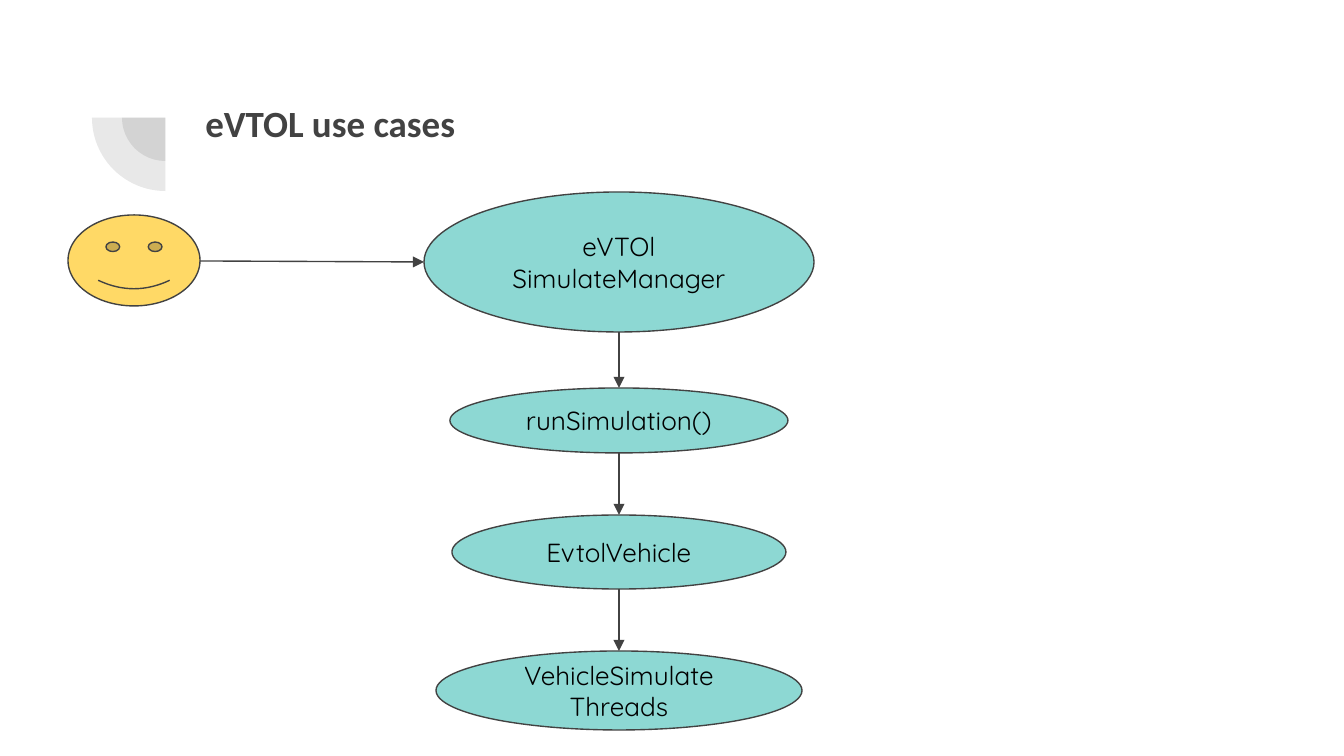
import dataclasses
import itertools

import pptx
import pptx.dml.color
import pptx.enum.shapes
import pptx.enum.text
import pptx.oxml
import pptx.oxml.ns
import pptx.util

SHAPE = pptx.enum.shapes.MSO_SHAPE
ALIGN = pptx.enum.text.PP_ALIGN
ANCHOR = pptx.enum.text.MSO_ANCHOR
EMU_PER_PX = 914400 / 134.4


@dataclasses.dataclass(frozen=True)
class Theme:
    """Colours, fonts and type sizes of the slide."""
    ink: str = "424242"
    black: str = "000000"
    teal: str = "8DD8D3"
    yellow: str = "FFD966"
    title_font: str = "Calibri"
    body_font: str = "Quicksand"
    title_size: float = 19.8
    body_size: float = 14
    line_width: float = 0.75
    fan_alpha: int = 12


def px(length):
    """Turn pixels into EMU."""
    return pptx.util.Emu(round(length * EMU_PER_PX))


def rgb(colour):
    """Turn a hex string into a colour."""
    return pptx.dml.color.RGBColor.from_string(colour)


def write_text(shape, text, *, font, size, colour, bold=False,
               align=ALIGN.LEFT, anchor=ANCHOR.TOP):
    """Write one wrapped paragraph into a shape."""
    frame = shape.text_frame
    frame.word_wrap = True
    frame.vertical_anchor = anchor
    for side in ("left", "right", "top", "bottom"):
        setattr(frame, f"margin_{side}", pptx.util.Inches(0.1))
    para = frame.paragraphs[0]
    para.alignment = align
    span = para.add_run()
    span.text = text
    span.font.name = font
    span.font.size = pptx.util.Pt(size)
    span.font.bold = bold
    span.font.color.rgb = rgb(colour)


class Page:
    """Draws styled elements on the current slide."""

    def __init__(self, slide, theme):
        """Keep the slide and its theme."""
        self.shapes = slide.shapes
        self.theme = theme

    def outline(self, line):
        """Apply the common line style."""
        line.color.rgb = rgb(self.theme.ink)
        line.width = pptx.util.Pt(self.theme.line_width)

    def solid(self, kind, box, colour):
        """Add a filled preset shape without a shadow."""
        shape = self.shapes.add_shape(kind, *map(px, box))
        shape.shadow.inherit = False
        shape.fill.solid()
        shape.fill.fore_color.rgb = rgb(colour)
        return shape

    def fan(self, centre_x, centre_y, size):
        """Add a translucent quarter circle around a centre."""
        box = (centre_x - size / 2, centre_y - size / 2, size, size)
        shape = self.solid(SHAPE.PIE, box, self.theme.ink)
        shape.adjustments[0] = 108
        shape.adjustments[1] = 162
        shape.rotation = 270
        shape.line.fill.background()
        colour = shape.fill._xPr.find(".//" + pptx.oxml.ns.qn("a:srgbClr"))
        alpha = pptx.oxml.parse_xml(
            f'<a:alpha {pptx.oxml.ns.nsdecls("a")} val="{self.theme.fan_alpha * 1000}"/>')
        colour.append(alpha)

    def title(self, text, box):
        """Add the slide heading."""
        shape = self.shapes.add_textbox(*map(px, box))
        write_text(shape, text, font=self.theme.title_font,
                   size=self.theme.title_size, colour=self.theme.ink, bold=True)

    def actor(self, box):
        """Add the smiling user."""
        self.outline(self.solid(SHAPE.SMILEY_FACE, box, self.theme.yellow).line)

    def use_case(self, kind, text, box):
        """Add a labelled ellipse."""
        shape = self.solid(kind, box, self.theme.teal)
        self.outline(shape.line)
        write_text(shape, text, font=self.theme.body_font,
                   size=self.theme.body_size, colour=self.theme.black,
                   align=ALIGN.CENTER, anchor=ANCHOR.MIDDLE)

    def arrow(self, start, end):
        """Add a straight arrow between two points."""
        connector = self.shapes.add_connector(
            pptx.enum.shapes.MSO_CONNECTOR.STRAIGHT, *map(px, start + end))
        self.outline(connector.line)
        names = pptx.oxml.ns.nsdecls("a")
        connector.line._get_or_add_ln().append(
            pptx.oxml.parse_xml(f'<a:tailEnd {names} type="triangle"/>'))
        connector._element.spPr.append(
            pptx.oxml.parse_xml(f"<a:effectLst {names}/>"))


def main():
    """Build the use case slide."""
    deck = pptx.Presentation()
    deck.slide_width, deck.slide_height = px(1344), px(756)
    page = Page(deck.slides.add_slide(deck.slide_layouts[6]), Theme())

    for size in (87, 147):
        page.fan(165.5, 117.5, size)
    page.title("eVTOL use cases", (192, 87, 598, 74))
    page.actor((68, 215, 132, 91))

    axis = 619
    use_cases = [
        (SHAPE.OVAL, "eVTOl SimulateManager", 192, 390, 140),
        (SHAPE.FLOWCHART_CONNECTOR, "runSimulation()", 388, 338, 65),
        (SHAPE.FLOWCHART_CONNECTOR, "EvtolVehicle", 515, 334, 74),
        (SHAPE.FLOWCHART_CONNECTOR, "VehicleSimulate Threads", 651, 366, 79),
    ]
    for kind, text, top, width, height in use_cases:
        page.use_case(kind, text, (axis - width / 2, top, width, height))

    page.arrow((200, 261), (424, 262))
    for upper, lower in itertools.pairwise(use_cases):
        page.arrow((axis, upper[2] + upper[4]), (axis, lower[2]))

    deck.save("out.pptx")


if __name__ == "__main__":
    main()
